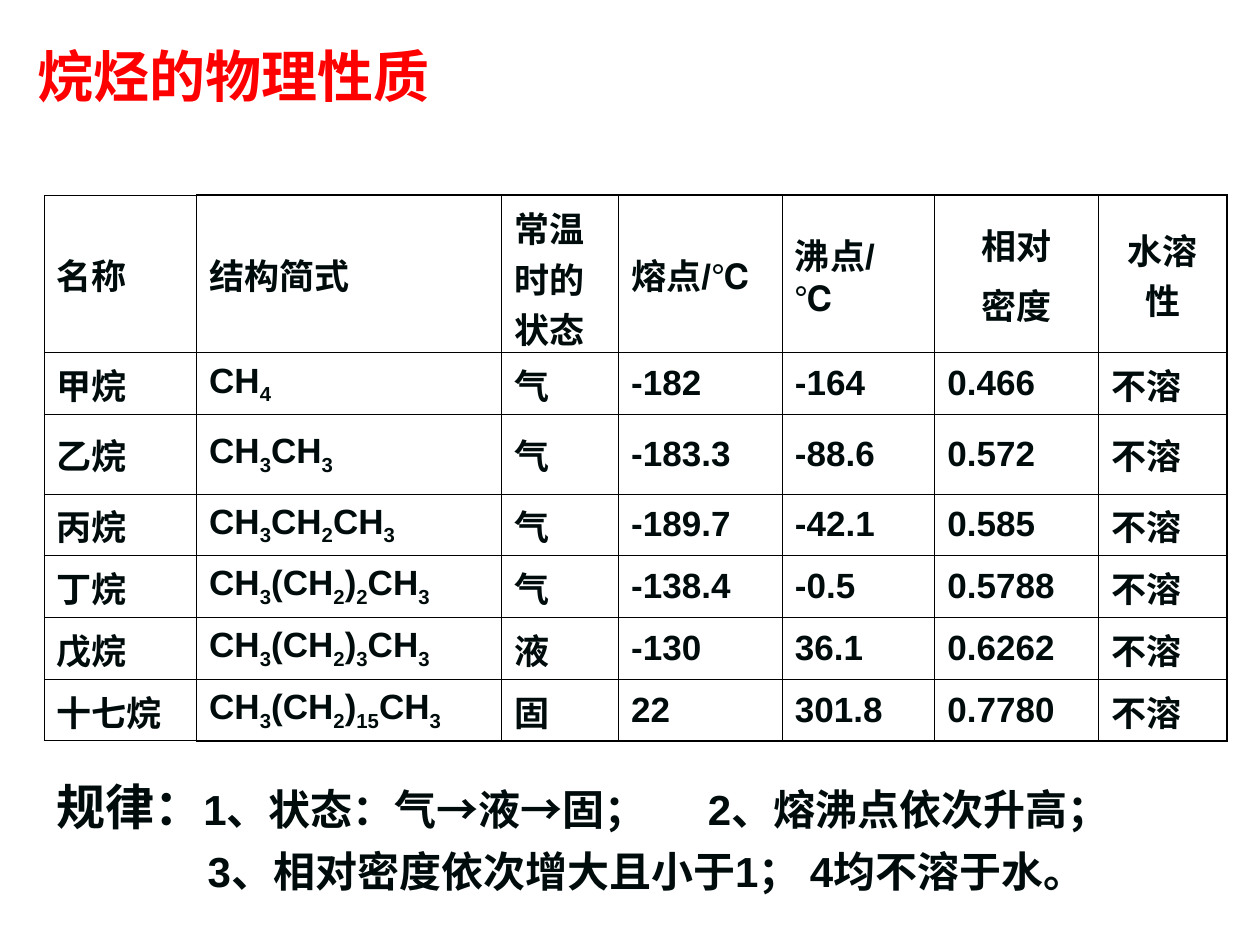
from itertools import groupby

from lxml.etree import SubElement
from pptx import Presentation
from pptx.dml.color import RGBColor
from pptx.enum.text import MSO_ANCHOR as Anchor, PP_ALIGN as Align
from pptx.oxml.ns import qn
from pptx.util import Inches, Pt

RED, INK, LINE = "FF0000", "000C0C", "000000"
TITLE = "烷烃的物理性质"
# A line break in a cell starts a new paragraph
HEADS = ["名称", "结构简式", "常温时的状态", "熔点/℃", "沸点/ ℃", "相对\n密度", "水溶性"]
ALKANES = [
    ("甲烷", "CH4", "气", "-182", "-164", "0.466"),
    ("乙烷", "CH3CH3", "气", "-183.3", "-88.6", "0.572"),
    ("丙烷", "CH3CH2CH3", "气", "-189.7", "-42.1", "0.585"),
    ("丁烷", "CH3(CH2)2CH3", "气", "-138.4", "-0.5", "0.5788"),
    ("戊烷", "CH3(CH2)3CH3", "液", "-130", "36.1", "0.6262"),
    ("十七烷", "CH3(CH2)15CH3", "固", "22", "301.8", "0.7780"),
]
SOLUBLE = "不溶"
RULES = [
    [("规律：", 28), ("1、状态：气→液→固；\t2、熔沸点依次升高；", 24)],
    [("3、相对密度依次增大且小于1； 4均不溶于水。", 24)],
]
WIDTHS = [1.21, 2.42, 0.93, 1.3, 1.21, 1.3, 1.02]
HEIGHTS = [1.25, 0.49, 0.63, 0.49, 0.49, 0.49, 0.49]
FORMULA, CENTRED = 1, (5, 6)
THIN, THICK = 0.45, 1.08


def rgb(code):
    return RGBColor.from_string(code)


def add_run(para, text, size, color=INK, sub=False):
    run = para.add_run()
    run.text = text
    font = run.font
    font.name, font.size, font.bold = "Arial", Pt(size), True
    font.color.rgb = rgb(color)
    if sub:
        run._r.get_or_add_rPr().set("baseline", "-25000")


def add_box(slide, left, top, width, height):
    box = slide.shapes.add_textbox(*map(Inches, (left, top, width, height)))
    box.text_frame.word_wrap = True
    return box.text_frame


def next_para(frame, index, space):
    if index == 0:
        return frame.paragraphs[0]
    para = frame.add_paragraph()
    para.space_before = Pt(space)
    return para


def set_borders(cell, widths):
    props = cell._tc.get_or_add_tcPr()
    for side, width in zip("LRTB", widths):
        line = SubElement(props, qn("a:ln" + side), w=str(Pt(width)))
        fill = SubElement(line, qn("a:solidFill"))
        SubElement(fill, qn("a:srgbClr"), val=LINE)


def fill_cell(cell, text, formula, centred):
    cell.vertical_anchor = Anchor.MIDDLE
    for i, part in enumerate(text.split("\n")):
        para = next_para(cell.text_frame, i, 5)
        if centred:
            para.alignment = Align.CENTER
        if formula:
            for digit, chars in groupby(part, str.isdigit):
                add_run(para, "".join(chars), 20, sub=digit)
        else:
            add_run(para, part, 20)


def add_grid(slide):
    rows = [HEADS] + [alkane + (SOLUBLE,) for alkane in ALKANES]
    last_row, last_col = len(rows) - 1, len(HEADS) - 1
    table = slide.shapes.add_table(
        len(rows), len(HEADS), Inches(0.35), Inches(1.55),
        Inches(sum(WIDTHS)), Inches(sum(HEIGHTS))).table
    table.first_row = table.horz_banding = False
    for col, width in zip(table.columns, WIDTHS):
        col.width = Inches(width)
    for row, height in zip(table.rows, HEIGHTS):
        row.height = Inches(height)
    for r, row in enumerate(rows):
        for c, text in enumerate(row):
            cell = table.cell(r, c)
            fill_cell(cell, text, r > 0 and c == FORMULA,
                      r == 0 and c in CENTRED)
            right = THICK if c == last_col else THIN
            top = THICK if r == 0 and c > 0 else THIN
            bottom = THICK if r == last_row and c > 0 else THIN
            set_borders(cell, (THIN, right, top, bottom))
            cell.fill.background()


def add_rules(slide):
    frame = add_box(slide, 0.35, 6.11, 9.31, 1.05)
    for i, parts in enumerate(RULES):
        para = next_para(frame, i, 6)
        props = para._p.get_or_add_pPr()
        if i == 0:
            tabs = SubElement(props, qn("a:tabLst"))
            SubElement(tabs, qn("a:tab"), pos=str(Inches(5.17)), algn="l")
        else:
            props.set("marL", str(Inches(1.2)))
        for text, size in parts:
            add_run(para, text, size)


def main():
    deck = Presentation()
    deck.slide_width, deck.slide_height = Inches(10), Inches(7.5)
    slide = deck.slides.add_slide(deck.slide_layouts[6])
    title = add_box(slide, 0.2, 0.28, 5.48, 0.64)
    add_run(title.paragraphs[0], TITLE, 32, RED)
    add_grid(slide)
    add_rules(slide)
    deck.save("out.pptx")


if __name__ == "__main__":
    main()
